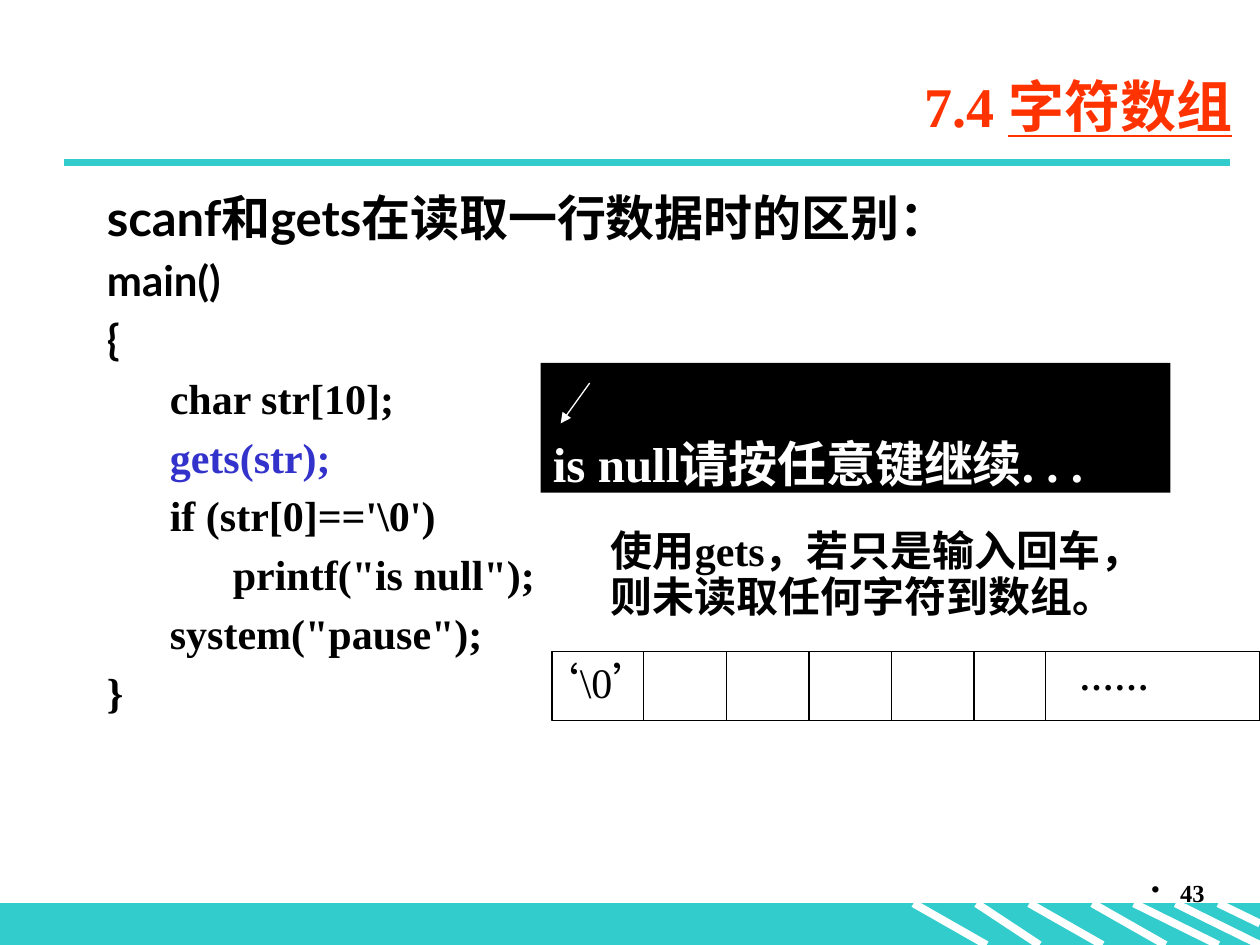
from dataclasses import dataclass

import pptx
import pptx.dml.color
import pptx.enum.shapes
import pptx.enum.text
import pptx.oxml
import pptx.oxml.ns
import pptx.util
from pptx.util import Inches

ALIGN = pptx.enum.text.PP_ALIGN
ANCHOR = pptx.enum.text.MSO_ANCHOR


@dataclass(frozen=True)
class Theme:
    teal: str = "33CCCC"
    red: str = "FF3300"
    blue: str = "3333CC"
    black: str = "000000"
    white: str = "FFFFFF"
    serif: str = "Times New Roman"
    sans: str = "Lato"
    han: str = "Noto Sans CJK SC"
    title: int = 32
    lead: int = 28
    code: int = 24
    dots: int = 20
    page: int = 14
    thin: float = 0.75
    thick: float = 4.5


THEME = Theme()


@dataclass(frozen=True)
class Run:
    text: str
    size: int = THEME.code
    face: str = THEME.serif
    color: str = THEME.black
    bold: bool = True
    under: bool = False


@dataclass(frozen=True)
class Para:
    runs: tuple[Run, ...]
    indent: float = 0
    pitch: float | None = None
    align: ALIGN = ALIGN.LEFT
    bullet: bool = False


@dataclass(frozen=True)
class Line:
    x1: float
    y1: float
    x2: float
    y2: float
    color: str
    width: float
    arrow: bool = False


def rgb(code: str) -> pptx.dml.color.RGBColor:
    return pptx.dml.color.RGBColor.from_string(code)


def add_tag(node, tag: str, **attrs: str) -> None:
    child = pptx.oxml.parse_xml(f"<a:{tag} {pptx.oxml.ns.nsdecls('a')}/>")
    for key, value in attrs.items():
        child.set(key, value)
    node.append(child)


def add_run(para, run: Run) -> None:
    item = para.add_run()
    item.text = run.text
    style = {"size": pptx.util.Pt(run.size), "name": run.face,
             "bold": run.bold, "underline": run.under}
    for key, value in style.items():
        setattr(item.font, key, value)
    item.font.color.rgb = rgb(run.color)
    add_tag(item.font._element, "ea", typeface=THEME.han)


def fill_text(shape, paras: list[Para], **frame) -> None:
    body = shape.text_frame
    for key, value in ({"word_wrap": True} | frame).items():
        setattr(body, key, value)
    for i, para in enumerate(paras):
        item = body.add_paragraph() if i else body.paragraphs[0]
        item.alignment = para.align
        if para.pitch:
            item.line_spacing = pptx.util.Pt(para.pitch)
        props = item._p.get_or_add_pPr()
        props.set("marL", str(Inches(para.indent)))
        if para.bullet:
            props.set("indent", str(-Inches(para.indent)))
            add_tag(props, "buChar", char="•")
        for run in para.runs:
            add_run(item, run)


def add_text(slide, box: tuple[float, ...], paras: list[Para], **frame) -> None:
    shape = slide.shapes.add_textbox(*map(Inches, box))
    fill_text(shape, paras, **frame)


def add_rect(slide, box: tuple[float, ...], fill: str, edge: str | None = None):
    shape = slide.shapes.add_shape(
        pptx.enum.shapes.MSO_SHAPE.RECTANGLE, *map(Inches, box))
    shape.shadow.inherit = False
    shape.fill.solid()
    shape.fill.fore_color.rgb = rgb(fill)
    if edge:
        shape.line.color.rgb = rgb(edge)
        shape.line.width = pptx.util.Pt(THEME.thin)
    else:
        shape.line.fill.background()
    return shape


def add_line(slide, line: Line) -> None:
    ends = map(Inches, (line.x1, line.y1, line.x2, line.y2))
    shape = slide.shapes.add_connector(
        pptx.enum.shapes.MSO_CONNECTOR.STRAIGHT, *ends)
    shape.line.color.rgb = rgb(line.color)
    shape.line.width = pptx.util.Pt(line.width)
    if line.arrow:
        add_tag(shape.line._get_or_add_ln(), "tailEnd", type="triangle")
    add_tag(shape._element.spPr, "effectLst")


def add_frame(slide) -> None:
    """Draw the footer band, its stripes, the title rule and page number."""
    top, base = 7.17, 7.5
    add_rect(slide, (0, top, 10, 0.33), THEME.teal, THEME.teal)
    stripes = [(7.25, 7.83, base), (7.75, 8.25, base), (8.17, 8.75, base),
               (8.67, 9.25, base), (9, 9.67, base), (9.33, 10, base),
               (9.67, 10, 7.33)]
    for left, right, end in stripes:
        add_line(slide, Line(left, top, right, end, THEME.white, THEME.thick))
    add_line(slide, Line(0.51, 1.29, 9.76, 1.29, THEME.teal, THEME.thick))
    page = Para((Run("43", THEME.page),), 0.23, align=ALIGN.RIGHT, bullet=True)
    add_text(slide, (7.58, 6.92, 2.08, 0.5), [page])


def add_code(slide) -> None:
    sans = THEME.sans
    rows = [
        (0, Run("scanf和gets在读取一行数据时的区别：", THEME.lead, sans)),
        (0, Run("main()", face=sans)),
        (0, Run("{", face=sans)),
        (1, Run("char str[10];")),
        (1, Run("gets(str);", color=THEME.blue)),
        (1, Run("if (str[0]=='\\0')")),
        (2, Run('printf("is null");')),
        (1, Run('system("pause");')),
        (0, Run("}")),
    ]
    paras = [Para((run,), level * 0.5, 33.6) for level, run in rows]
    add_text(slide, (0.75, 1.44, 8.5, 5.46), paras)


def add_screen(slide) -> None:
    """Draw the console output and the remark below it."""
    screen = add_rect(slide, (4.29, 2.88, 5, 1.03), THEME.black)
    words = Run("is null请按任意键继续. . .", THEME.lead, color=THEME.white)
    fill_text(screen, [Para((words,))],
              vertical_anchor=ANCHOR.BOTTOM, margin_bottom=0)
    add_line(slide, Line(4.68, 3.04, 4.45, 3.36, THEME.white, THEME.thin, True))
    note = Run("使用gets，若只是输入回车，则未读取任何字符到数组。")
    add_text(slide, (4.75, 4.15, 4.74, 0.83), [Para((note,), pitch=26.3)])


def add_cells(slide) -> None:
    top, high = 5.17, 0.55
    add_rect(slide, (4.38, top, 5.62, high), THEME.white, THEME.black)
    for x in [5.11 + 0.655 * i for i in range(5)] + [8.3]:
        add_line(slide, Line(x, top, x, top + high, THEME.black, THEME.thin))
    quotes = [Run(mark, face=THEME.han, bold=False) for mark in "‘’"]
    null = Para((quotes[0], Run("\\0", bold=False), quotes[1]), pitch=28)
    add_text(slide, (4.17, top, 1.3, 0.46), [null])
    dots = Para((Run("……", THEME.dots, THEME.han),), pitch=24)
    add_text(slide, (8.47, 5.24, 1.39, 0.4), [dots])


def main() -> None:
    deck = pptx.Presentation()
    deck.slide_width, deck.slide_height = Inches(10), Inches(7.5)
    slide = deck.slides.add_slide(deck.slide_layouts[6])
    add_frame(slide)
    head = [Run(text, THEME.title, color=THEME.red, under=under)
            for text, under in (("7.4 ", False), ("字符数组", True))]
    add_text(slide, (1.38, 0.44, 8.5, 0.79),
             [Para(tuple(head), align=ALIGN.RIGHT)],
             vertical_anchor=ANCHOR.MIDDLE)
    add_code(slide)
    add_screen(slide)
    add_cells(slide)
    deck.save("out.pptx")


if __name__ == "__main__":
    main()
